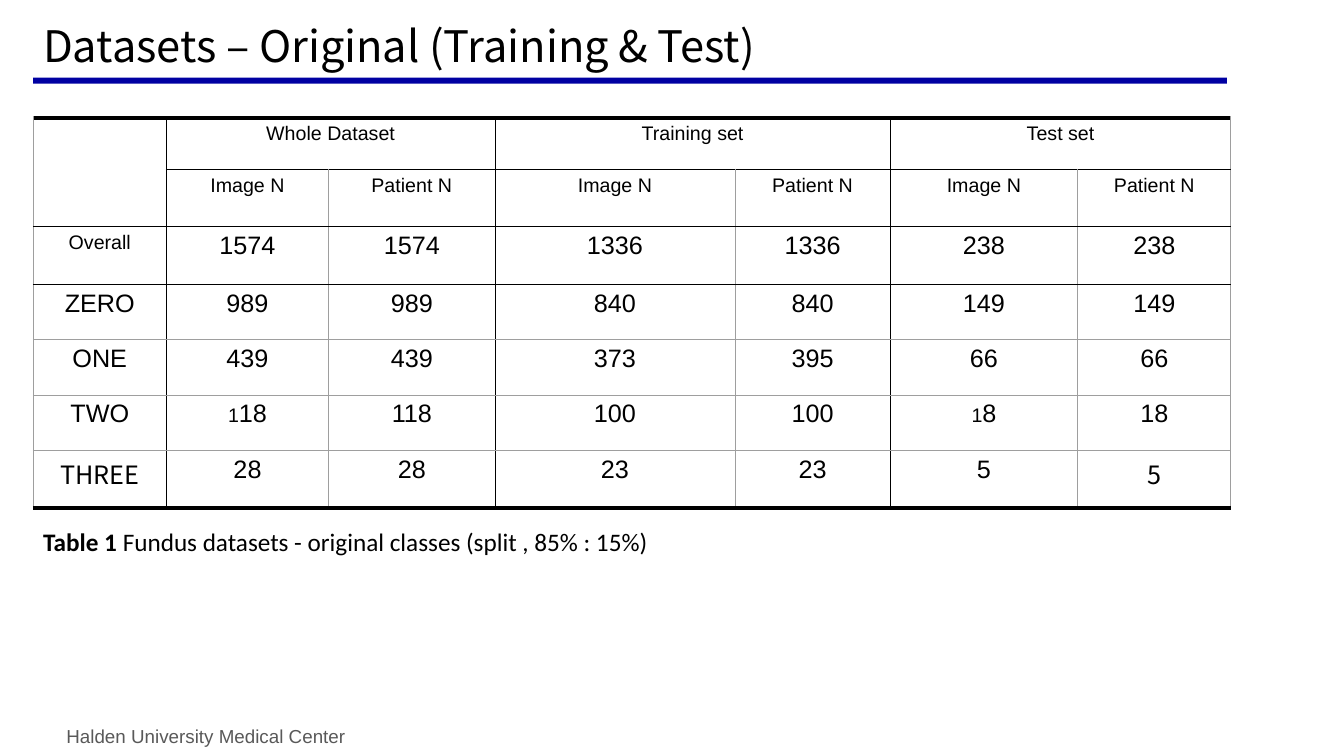
from lxml.etree import SubElement
from pptx import Presentation
from pptx.dml.color import RGBColor
from pptx.enum.shapes import MSO_SHAPE
from pptx.enum.text import MSO_ANCHOR, PP_ALIGN
from pptx.oxml.ns import qn
from pptx.util import Inches, Pt

BLACK, GREY = "000000", "9E9E9E"
NOTO = "Noto Sans CJK KR"


def add_run(p, text, size, font, color=BLACK, bold=False):
    r = p.add_run()
    r.text = text
    for name, value in {"size": Pt(size), "name": font, "bold": bold}.items():
        setattr(r.font, name, value)
    r.font.color.rgb = RGBColor.from_string(color)


def set_border(cell, side, color, width):
    ln = SubElement(cell._tc.get_or_add_tcPr(), qn("a:ln" + side), w=str(Pt(width)))
    if width:
        fill = SubElement(ln, qn("a:solidFill"))
        SubElement(fill, qn("a:srgbClr"), val=color)
    else:
        SubElement(ln, qn("a:noFill"))


prs = Presentation()
prs.slide_width, prs.slide_height = Inches(13.33), Inches(7.5)
s = prs.slides.add_slide(prs.slide_layouts[6])

# Rule under the title
rule = s.shapes.add_shape(MSO_SHAPE.RECTANGLE, *map(Inches, (0.33, 0.77, 11.84, 0.06)))
rule.shadow.inherit = False
rule.fill.solid()
rule.fill.fore_color.rgb = RGBColor.from_string("0000A2")
rule.line.fill.background()

# Footer, title and caption: box, anchor, line spacing, runs
texts = [
    ((0.56, 7.14, 3.43, 0.32), MSO_ANCHOR.TOP, 1.0,
     [("Halden University Medical Center", 13.4, "Arial", "595959")]),
    ((0.33, 0.21, 12.67, 0.55), MSO_ANCHOR.BOTTOM, 0.9,
     [("Datasets – Original (Training & Test)", 31, NOTO)]),
    ((0.33, 5.17, 9.29, 0.33), MSO_ANCHOR.TOP, 1.0,
     [("Table 1", 18, "Calibri", BLACK, True),
      (" Fundus datasets - original classes (split , 85% : 15%)", 18, "Calibri")]),
]
for box, anchor, spacing, runs in texts:
    tf = s.shapes.add_textbox(*map(Inches, box)).text_frame
    tf.word_wrap = True
    tf.vertical_anchor = anchor
    p = tf.paragraphs[0]
    p.line_spacing = spacing
    for run in runs:
        add_run(p, *run)

# Table
col_widths = [1.32, 1.61, 1.65, 2.38, 1.54, 1.86, 1.52]
row_heights = [0.51, 0.57, 0.57, 0.55, 0.55, 0.55, 0.57]
rows = [
    ["", "Whole Dataset", "", "Training set", "", "Test set", ""],
    [""] + ["Image N", "Patient N"] * 3,
    ["Overall", "1574", "1574", "1336", "1336", "238", "238"],
    ["ZERO", "989", "989", "840", "840", "149", "149"],
    ["ONE", "439", "439", "373", "395", "66", "66"],
    ["TWO", "118", "118", "100", "100", "18", "18"],
    ["THREE", "28", "28", "23", "23", "5", "5"],
]
table = s.shapes.add_table(len(rows), len(col_widths), Inches(0.33), Inches(1.17),
                           Inches(sum(col_widths)), Inches(sum(row_heights))).table
table.first_row = table.horz_banding = False
for column, width in zip(table.columns, col_widths):
    column.width = Inches(width)
for row, height in zip(table.rows, row_heights):
    row.height = Inches(height)

# Merged header cells
table.cell(0, 0).merge(table.cell(1, 0))
for c in (1, 3, 5):
    table.cell(0, c).merge(table.cell(0, c + 1))

# Grid lines from left to right and from top to bottom
v_lines = [(BLACK if c in (1, 3, 5) else GREY, 0.74) for c in range(8)]
h_lines = [(BLACK, 3), (BLACK, 0.96), (BLACK, 0.74), (BLACK, 0.74),
           (GREY, 0.74), (GREY, 0.74), (GREY, 0.74), (BLACK, 3)]
small_first_digit = {(5, 1), (5, 5)}
noto_cells = {(6, 0), (6, 6)}

for y, values in enumerate(rows):
    for x, text in enumerate(values):
        cell = table.cell(y, x)
        right = x + cell.span_width if cell.is_merge_origin else x + 1
        bottom = y + cell.span_height if cell.is_merge_origin else y + 1
        for side, line in (("L", v_lines[x]), ("R", v_lines[right]),
                           ("T", h_lines[y]), ("B", h_lines[bottom])):
            inside_merge = cell.is_spanned and side == ("T" if x == 0 else "L")
            set_border(cell, side, line[0], 0 if inside_merge else line[1])
        cell.fill.background()
        if not text:
            continue
        p = cell.text_frame.paragraphs[0]
        p.alignment = PP_ALIGN.CENTER
        size = 14 if y < 2 or text == "Overall" else 18
        if (y, x) in small_first_digit:
            add_run(p, text[0], 14, "Arial")
            text = text[1:]
        add_run(p, text, size, NOTO if (y, x) in noto_cells else "Arial")

prs.save("out.pptx")
